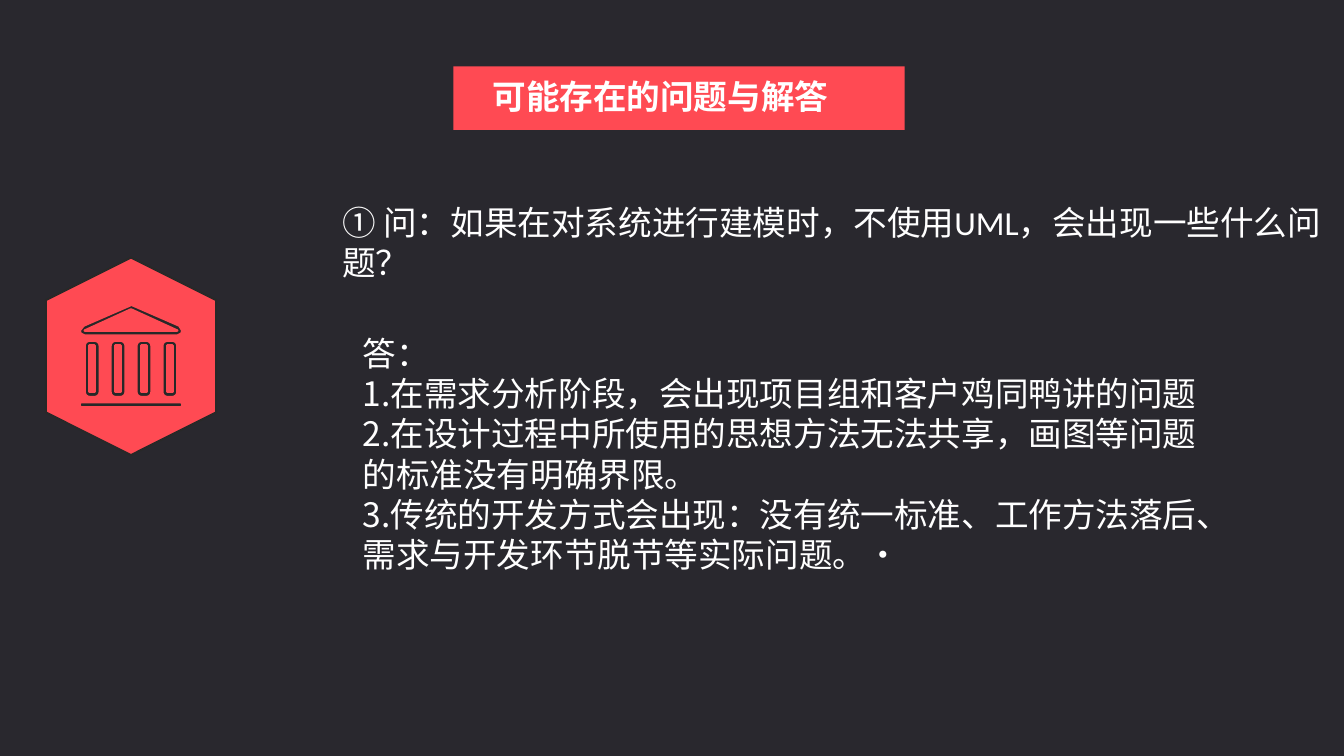
from math import cos, pi, sin

from lxml import etree
from pptx import Presentation
from pptx.dml.color import RGBColor
from pptx.enum.shapes import MSO_SHAPE as Shape
from pptx.enum.text import MSO_ANCHOR as Anchor
from pptx.enum.text import PP_ALIGN as Align
from pptx.oxml.ns import qn
from pptx.util import Inches, Pt

BACKGROUND = RGBColor(0x29, 0x28, 0x2E)
RED = RGBColor(0xFF, 0x4A, 0x53)
INK = RGBColor(0x28, 0x28, 0x28)
WHITE = RGBColor(0xFF, 0xFF, 0xFF)
CJK_FONT = "Noto Sans CJK SC"

QUESTION = "① 问：如果在对系统进行建模时，不使用UML，会出现一些什么问题？"
ANSWER = [
    "答：",
    "1.在需求分析阶段，会出现项目组和客户鸡同鸭讲的问题",
    "2.在设计过程中所使用的思想方法无法共享，画图等问题的标准没有明确界限。",
    "3.传统的开发方式会出现：没有统一标准、工作方法落后、需求与开发环节脱节等实际问题。·",
]


def paint(shape, fill, line=None, width=0):
    shape.shadow.inherit = False
    shape.fill.solid()
    shape.fill.fore_color.rgb = fill
    if line is None:
        shape.line.fill.background()
    else:
        shape.line.color.rgb = line
        shape.line.width = Pt(width)


def add_preset(slide, kind, left, top, width, height):
    return slide.shapes.add_shape(
        kind, Inches(left), Inches(top), Inches(width), Inches(height))


def add_text(slide, lines, left, top, width, height,
             font=CJK_FONT, bold=False, anchor=Anchor.TOP):
    box = slide.shapes.add_textbox(
        Inches(left), Inches(top), Inches(width), Inches(height))
    frame = box.text_frame
    frame.word_wrap = True
    frame.vertical_anchor = anchor
    frame.text = "\n".join(lines)
    for paragraph in frame.paragraphs:
        paragraph.alignment = Align.LEFT
        paragraph.font.name = font
        paragraph.font.size = Pt(24)
        paragraph.font.bold = bold
        paragraph.font.color.rgb = WHITE
        properties = paragraph.font._element
        east_asian = etree.Element(qn("a:ea"), typeface=CJK_FONT)
        properties.find(qn("a:latin")).addnext(east_asian)


def rounded_outline(left, top, right, bottom, radius, steps=4):
    """Points clockwise around a rectangle with rounded corners."""
    centres = [(right - radius, bottom - radius), (left + radius, bottom - radius),
               (left + radius, top + radius), (right - radius, top + radius)]
    points = []
    for corner, (x, y) in enumerate(centres):
        for step in range(steps + 1):
            angle = (corner + step / steps) * pi / 2
            points.append((x + radius * cos(angle), y + radius * sin(angle)))
    return points


def add_outline(slide, *contours):
    """Draw one icon part; contours after the first are holes."""
    first, *holes = [[(Inches(x), Inches(y)) for x, y in contour]
                     for contour in contours]
    builder = slide.shapes.build_freeform(*first[0])
    builder.add_line_segments(first[1:])
    for hole in holes:
        builder.move_to(*hole[0])
        builder.add_line_segments(hole[1:])
    paint(builder.convert_to_shape(), INK, RED, 1.75)


def add_museum_icon(slide):
    hexagon = add_preset(slide, Shape.HEXAGON, 0.32, 2.69, 1.96, 1.69)
    hexagon.adjustments[0] = 0.25
    hexagon.adjustments[1] = 1.155
    hexagon.rotation = 90
    paint(hexagon, RED, INK, 1.5)

    add_outline(slide, rounded_outline(0.79, 3.99, 1.81, 4.04, 0.02))

    for column in range(4):
        left = 0.84 + column * 0.257
        right = left + 0.15
        opening = [(left + 0.05, 3.43), (right - 0.05, 3.43),
                   (right - 0.05, 3.89), (left + 0.05, 3.89)]
        add_outline(slide, rounded_outline(left, 3.38, right, 3.94, 0.05), opening)

    roof = [(0.84, 3.33), (1.76, 3.33), (1.8, 3.31), (1.81, 3.28), (1.78, 3.23),
            (1.32, 3.03), (1.3, 3.02), (1.29, 3.03), (0.83, 3.23),
            (0.79, 3.28), (0.8, 3.31)]
    gable = [(1.3, 3.07), (1.76, 3.28), (0.84, 3.28)]
    add_outline(slide, roof, gable)


def add_title(slide):
    paint(add_preset(slide, Shape.RECTANGLE, 4.5, 0.66, 4.48, 0.63), RED)
    add_text(slide, ["可能存在的问题与解答"], 4.79, 0.7, 3.76, 0.5,
             bold=True, anchor=Anchor.MIDDLE)


def main():
    deck = Presentation()
    deck.slide_width = Inches(13.34)
    deck.slide_height = Inches(7.5)
    slide = deck.slides.add_slide(deck.slide_layouts[6])
    slide.background.fill.solid()
    slide.background.fill.fore_color.rgb = BACKGROUND

    add_museum_icon(slide)
    add_title(slide)
    add_text(slide, [QUESTION], 3.3, 1.95, 10.03, 1.3, font="Calibri")
    add_text(slide, ANSWER, 3.5, 3.25, 8.78, 2.5)
    deck.save("out.pptx")


if __name__ == "__main__":
    main()
